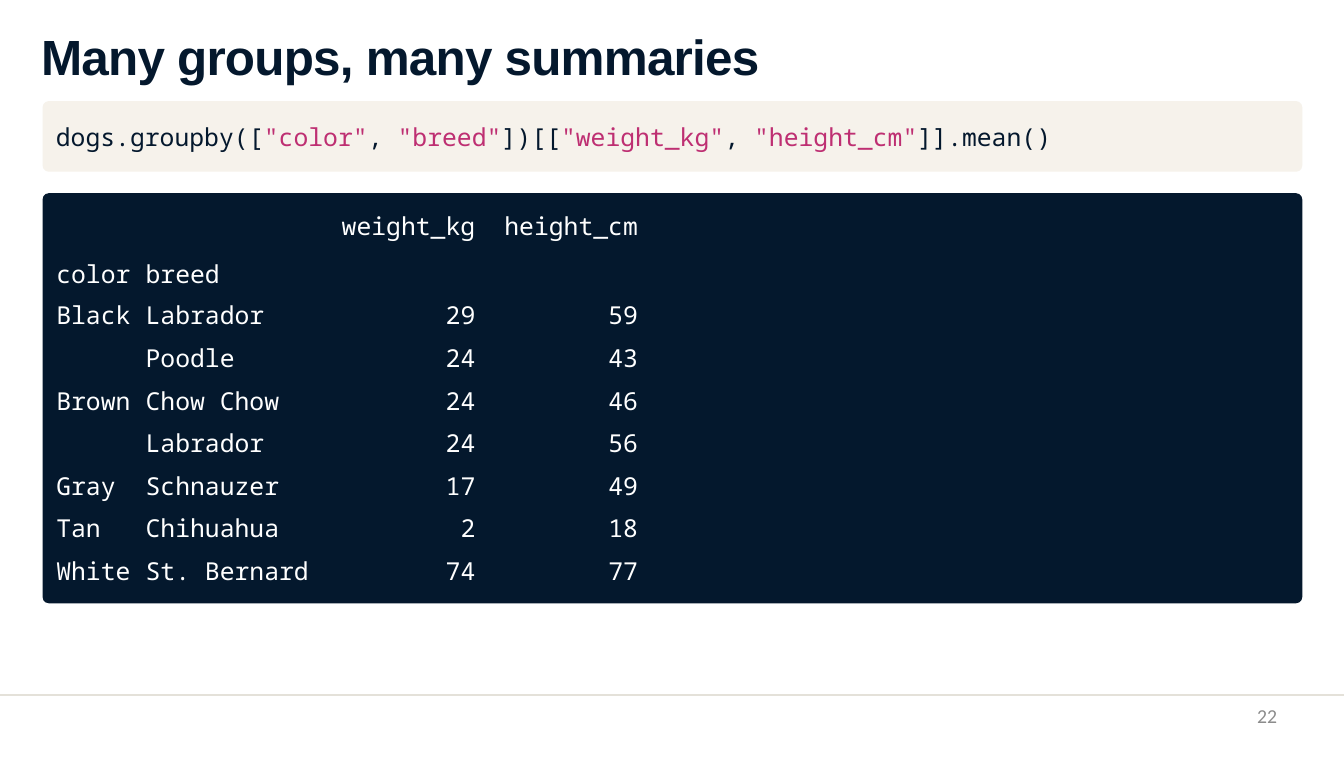
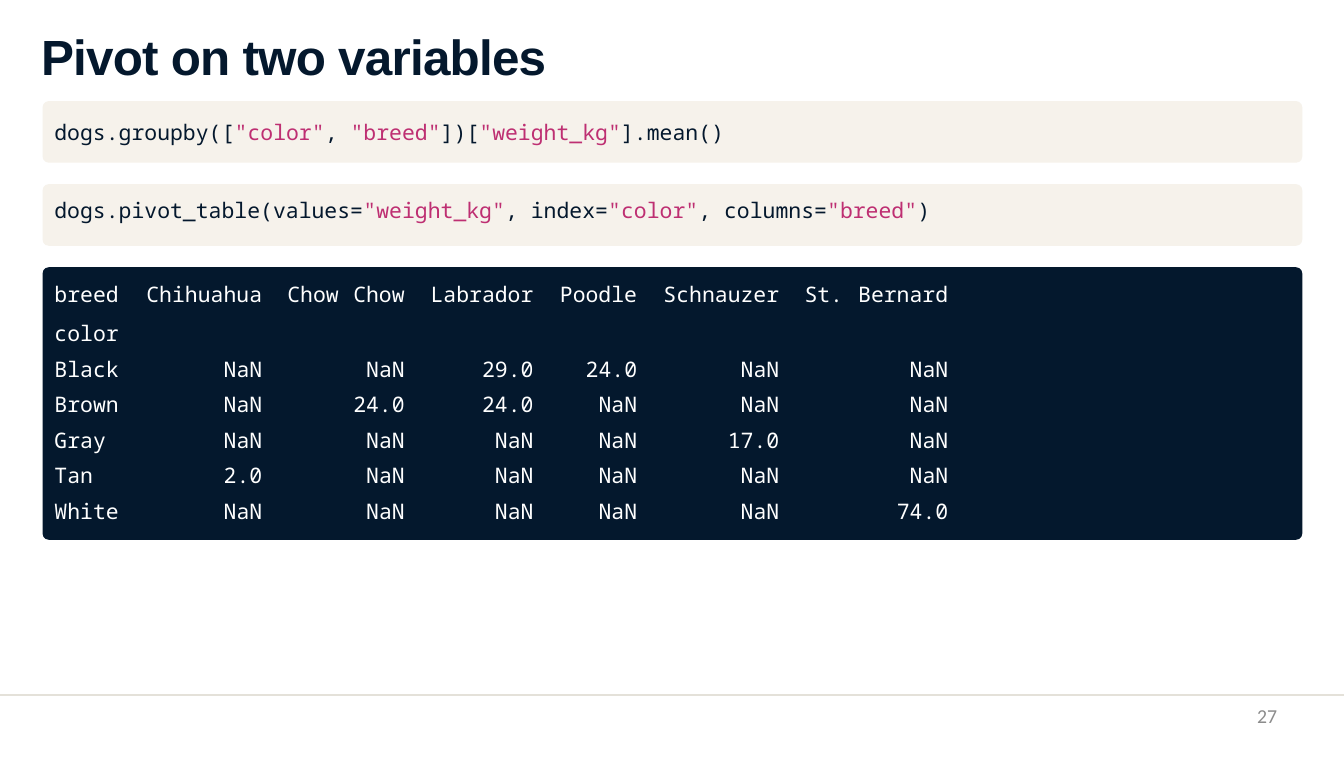
from dataclasses import dataclass

from pptx import Presentation
from pptx.dml.color import RGBColor
from pptx.enum.shapes import MSO_CONNECTOR, MSO_SHAPE
from pptx.enum.text import MSO_ANCHOR, MSO_AUTO_SIZE, PP_ALIGN
from pptx.oxml.ns import qn
from pptx.util import Cm, Pt
from lxml import etree

ROUNDED, STRAIGHT = MSO_SHAPE.ROUNDED_RECTANGLE, MSO_CONNECTOR.STRAIGHT
TOP, MIDDLE, BOTTOM = MSO_ANCHOR.TOP, MSO_ANCHOR.MIDDLE, MSO_ANCHOR.BOTTOM
LEFT, RIGHT = PP_ALIGN.LEFT, PP_ALIGN.RIGHT
NO_AUTOFIT = MSO_AUTO_SIZE.NONE
TITLE_ONLY = 5
NO_TABLE_STYLE = "{2D5ABB26-0587-4C30-8999-92F81FD0307C}"

COLORS = {
    "navy": "04182D",
    "cream": "F6F2EB",
    "string": "BE2F72",
    "output": "FFFFFF",
    "rule": "E4E1D9",
    "number": "8C8C8C",
}
MONO = "Noto Sans Mono"

# All lengths below are centimetres; text sizes are points.
SLIDE_W, SLIDE_H = 43.2, 24.33
TITLE_BOX = (1.32, 0.76, 26.11, 1.97)
NUMBER_BOX = (31.12, 22.63, 9.93, 1.22)
RULE_Y = 22.33
PANEL_X, PANEL_W, PANEL_TOP, PANEL_GAP = 1.37, 40.49, 3.25, 0.69
CORNER = 0.2


@dataclass
class CodeLine:
    text: str
    height: float
    bottom_inset: float = 0


@dataclass
class Output:
    """Printed data frame; each column is (width, padding towards its text side)."""
    height: float
    inset: tuple
    columns: list
    index_count: int
    header_height: float
    row_height: float
    last_height: float
    row_inset: float
    header_line: float
    rows: list


def rgb(name):
    return RGBColor.from_string(COLORS[name])


def cms(*lengths):
    return [Cm(length) for length in lengths]


def apply(target, **formats):
    for attribute, value in formats.items():
        setattr(target, attribute, value)


def set_frame(frame, anchor, left=0, top=0, right=0, bottom=0):
    apply(frame, word_wrap=True, auto_size=NO_AUTOFIT, vertical_anchor=anchor,
          margin_left=Cm(left), margin_top=Cm(top),
          margin_right=Cm(right), margin_bottom=Cm(bottom))


def add_run(paragraph, text, color, size, name=MONO, bold=False):
    run = paragraph.add_run()
    run.text = text
    apply(run.font, name=name, size=Pt(size), bold=bold)
    run.font.color.rgb = rgb(color)
    return run


def add_title(slide, text):
    title = slide.shapes.title
    left, top, width, height = cms(*TITLE_BOX)
    apply(title, left=left, top=top, width=width, height=height)
    set_frame(title.text_frame, TOP, top=0.08)
    paragraph = title.text_frame.paragraphs[0]
    paragraph.alignment = LEFT
    run = add_run(paragraph, text, "navy", 45, "Arial", True)
    run._r.get_or_add_rPr().set("spc", "-70")


def add_footer(slide, number):
    rule = slide.shapes.add_connector(STRAIGHT, *cms(0, RULE_Y, SLIDE_W, RULE_Y))
    rule.line.color.rgb = rgb("rule")
    rule.line.width = Pt(1.5)
    etree.SubElement(rule.element.spPr, qn("a:effectLst"))
    frame = slide.shapes.add_textbox(*cms(*NUMBER_BOX)).text_frame
    set_frame(frame, TOP)
    frame.paragraphs[0].alignment = RIGHT
    add_run(frame.paragraphs[0], str(number), "number", 18, "Calibri")


def add_panel(slide, top, height, color):
    panel = slide.shapes.add_shape(ROUNDED, *cms(PANEL_X, top, PANEL_W, height))
    panel.adjustments[0] = CORNER / height
    panel.shadow.inherit = False
    panel.fill.solid()
    panel.fill.fore_color.rgb = rgb(color)
    panel.line.fill.background()
    return panel


def add_code(slide, top, code, size, indent):
    """Code panel with the quoted strings highlighted."""
    frame = add_panel(slide, top, code.height, "cream").text_frame
    set_frame(frame, MIDDLE, left=indent, bottom=code.bottom_inset)
    paragraph = frame.paragraphs[0]
    paragraph.alignment = LEFT
    for position, part in enumerate(code.text.split('"')):
        if position % 2:
            add_run(paragraph, f'"{part}"', "string", size)
        else:
            add_run(paragraph, part, "navy", size)


def fill_cell(cell, text, size, alignment, line=None):
    for position, words in enumerate(text.split("\n")):
        frame = cell.text_frame
        paragraph = frame.add_paragraph() if position else frame.paragraphs[0]
        paragraph.alignment = alignment
        if line:
            paragraph.line_spacing = Pt(line)
        if position:
            paragraph.space_before = Pt(12.5)
        add_run(paragraph, words, "output", size)


def add_output(slide, top, output, size):
    add_panel(slide, top, output.height, "navy")
    row_count, column_count = len(output.rows), len(output.columns)
    heights = [output.header_height, *[output.row_height] * (row_count - 2),
               output.last_height]
    widths = [width for width, _ in output.columns]
    inset_x, inset_y = output.inset
    holder = slide.shapes.add_table(
        row_count, column_count,
        *cms(PANEL_X + inset_x, top + inset_y, sum(widths), sum(heights)))
    table = holder.table
    apply(table, first_row=False, horz_banding=False)
    for style in holder.element.iter(qn("a:tableStyleId")):
        style.text = NO_TABLE_STYLE
    for column, width in zip(table.columns, widths):
        column.width = Cm(width)
    for r, (row, height, texts) in enumerate(zip(table.rows, heights, output.rows)):
        row.height = Cm(height)
        is_header = r == 0
        for c, (cell, text) in enumerate(zip(row.cells, texts)):
            is_index = c < output.index_count
            padding = Cm(output.columns[c][1])
            cell.fill.background()
            apply(cell,
                  margin_left=padding if is_index else 0,
                  margin_right=0 if is_index else padding,
                  margin_top=0 if is_header else Cm(output.row_inset),
                  margin_bottom=Cm(0.08) if is_header and is_index else 0,
                  vertical_anchor=BOTTOM if is_header and is_index else TOP)
            if text:
                fill_cell(cell, text, size, LEFT if is_index else RIGHT,
                          output.header_line if is_header else None)


def add_code_slide(deck, title, number, size, indent, codes, output):
    slide = deck.slides.add_slide(deck.slide_layouts[TITLE_ONLY])
    add_title(slide, title)
    top = PANEL_TOP
    for code in codes:
        add_code(slide, top, code, size, indent)
        top += code.height + PANEL_GAP
    add_output(slide, top, output, size)
    add_footer(slide, number)


GROUP_SUMMARY = Output(
    height=13.18, inset=(0.36, 0.66), index_count=2,
    columns=[(2.72, 0.08), (5.97, 0.23), (5.26, 0.4), (4.88, 0.05)],
    header_height=2.54, row_height=1.37, last_height=1.17,
    row_inset=0.18, header_line=26.4,
    rows=[
        ("color", "breed", "weight_kg", "height_cm"),
        ("Black", "Labrador", "29", "59"),
        ("", "Poodle", "24", "43"),
        ("Brown", "Chow Chow", "24", "46"),
        ("", "Labrador", "24", "56"),
        ("Gray", "Schnauzer", "17", "49"),
        ("Tan", "Chihuahua", "2", "18"),
        ("White", "St. Bernard", "74", "77"),
    ])

# Two-word breeds span two columns, with the value under the second word.
BREED_PIVOT = Output(
    height=8.76, inset=(0.3, 0.53), index_count=1,
    columns=[(2.59, 0.08), (4.57, 0.4), (2.29, 0.23), (2.29, 0.4), (4.14, 0.4),
             (3.33, 0.4), (4.57, 0.4), (1.88, 0.23), (3.2, 0.05)],
    header_height=2.13, row_height=1.14, last_height=0.99,
    row_inset=0.13, header_line=22.9,
    rows=[
        ("breed\ncolor", "Chihuahua", "Chow", "Chow", "Labrador", "Poodle",
         "Schnauzer", "St.", "Bernard"),
        ("Black", "NaN", "", "NaN", "29.0", "24.0", "NaN", "", "NaN"),
        ("Brown", "NaN", "", "24.0", "24.0", "NaN", "NaN", "", "NaN"),
        ("Gray", "NaN", "", "NaN", "NaN", "NaN", "17.0", "", "NaN"),
        ("Tan", "2.0", "", "NaN", "NaN", "NaN", "NaN", "", "NaN"),
        ("White", "NaN", "", "NaN", "NaN", "NaN", "NaN", "", "74.0"),
    ])


def main():
    deck = Presentation()
    apply(deck, slide_width=Cm(SLIDE_W), slide_height=Cm(SLIDE_H))
    add_code_slide(
        deck, "Many groups, many summaries", 22, 22.5, 0.37,
        [CodeLine('dogs.groupby(["color", "breed"])[["weight_kg", "height_cm"]].mean()',
                  2.27)],
        GROUP_SUMMARY)
    add_code_slide(
        deck, "Pivot on two variables", 27, 19.5, 0.32,
        [CodeLine('dogs.groupby(["color", "breed"])["weight_kg"].mean()', 1.98),
         CodeLine('dogs.pivot_table(values="weight_kg", index="color", columns="breed")',
                  1.98, bottom_inset=0.3)],
        BREED_PIVOT)
    deck.save("out.pptx")


if __name__ == "__main__":
    main()
